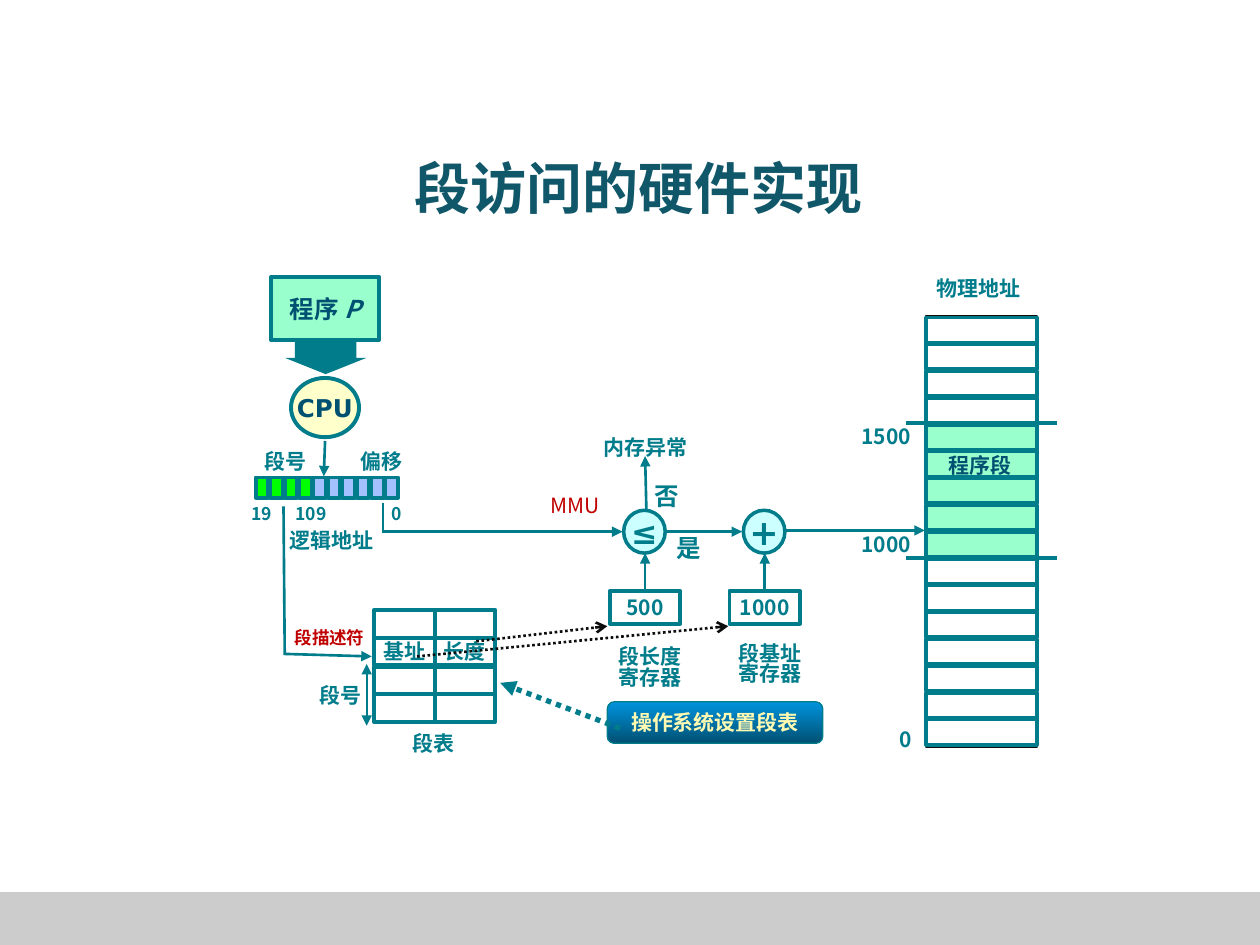
"""Build a slide on how hardware carries out segment access."""
from pptx import Presentation
from pptx.dml.color import RGBColor
from pptx.enum.dml import MSO_LINE
from pptx.enum.shapes import MSO_CONNECTOR, MSO_SHAPE
from pptx.enum.text import MSO_ANCHOR, MSO_AUTO_SIZE, PP_ALIGN
from pptx.oxml.ns import qn
from pptx.util import Inches, Pt
from lxml import etree

RECT, OVAL, DOWN = MSO_SHAPE.RECTANGLE, MSO_SHAPE.OVAL, MSO_SHAPE.DOWN_ARROW
PILL = MSO_SHAPE.FLOWCHART_ALTERNATE_PROCESS
LEFT, MID = PP_ALIGN.LEFT, PP_ALIGN.CENTER
DOTS = MSO_LINE.ROUND_DOT
THEME = {
    "teal": "007C8B", "navy": "005072", "title": "11576A", "red": "C00000",
    "cream": "FFF9B1", "mint": "99FFCC", "aqua": "CCFFFF", "lemon": "FFFFCC",
    "green": "00FF00", "blue": "A2C1FE", "sky": "0093DD", "white": "FFFFFF",
    "black": "0D0D0D", "grey": "CCCCCC",
    "sans": "Noto Sans CJK SC", "math": "DejaVu Sans",
    "head": 32, "plus": 20, "sign": 18, "large": 14, "body": 12, "small": 10,
}


def put(text, at, kind=None, shape=None, fill=None, edge=None, width=2.25,
        size="body", color="teal", font="sans", bold=True, align=MID,
        wrap=False, space=None, slant=""):
    """Place a shape or text box and format its text."""
    box = [Inches(n) for n in at]
    if shape is not None:
        shape.left, shape.top, shape.width, shape.height = box
    elif kind is None:
        shape = slide.shapes.add_textbox(*box)
    else:
        shape = slide.shapes.add_shape(kind, *box)
        shape.shadow.inherit = False
        if fill:
            shape.fill.solid()
            shape.fill.fore_color.rgb = RGBColor.from_string(THEME[fill])
        else:
            shape.fill.background()
        if edge:
            shape.line.color.rgb = RGBColor.from_string(THEME[edge])
            shape.line.width = Pt(width)
        else:
            shape.line.fill.background()
    if not text:
        return shape
    frame = shape.text_frame
    frame.auto_size = MSO_AUTO_SIZE.NONE
    frame.word_wrap = wrap
    frame.vertical_anchor = MSO_ANCHOR.MIDDLE if kind else MSO_ANCHOR.TOP
    for i, row in enumerate(text.split("\n")):
        para = frame.add_paragraph() if i else frame.paragraphs[0]
        para.alignment = align
        if space:
            para.line_spacing = space
        for part in filter(None, (row, slant)):
            run = para.add_run()
            run.text = part
            run.font.size = Pt(THEME[size])
            run.font.bold = bold
            run.font.italic = part == slant
            run.font.color.rgb = RGBColor.from_string(THEME[color])
            run.font.name = THEME[font]
            east = etree.SubElement(run.font._element, qn("a:ea"))
            east.set("typeface", THEME[font])
    return shape


def join(start, end, color="teal", width=1.5, tail=None, head=None, dash=None):
    """Draw a straight line with optional arrowheads."""
    line = slide.shapes.add_connector(
        MSO_CONNECTOR.STRAIGHT, *[Inches(n) for n in (*start, *end)])
    line.line.color.rgb = RGBColor.from_string(THEME[color])
    line.line.width = Pt(width)
    if dash:
        line.line.dash_style = dash
    props = line._element.spPr
    for tag, tip in (("a:headEnd", head), ("a:tailEnd", tail)):
        if tip:
            etree.SubElement(props.find(qn("a:ln")), qn(tag)).set("type", tip)
    etree.SubElement(props, qn("a:effectLst"))


deck = Presentation()
deck.slide_width, deck.slide_height = Inches(10), Inches(7.5)
slide = deck.slides.add_slide(deck.slide_layouts[5])
put("", (0, 7.08, 10, 0.42), RECT, fill="grey")
put("段访问的硬件实现", (3.19, 1.17, 5.71, 0.64), shape=slide.shapes.title,
    size="head", color="title", align=LEFT, wrap=True)

put("", (7.35, 2.51, 0.88, 3.42), RECT, fill="white", edge="black", width=1)
put("", (7.34, 3.37, 0.88, 1.07), RECT, fill="mint")
for i in range(16):
    put("", (7.35, 2.52 + i * 3.19 / 15, 0.88, 0.2), RECT, edge="teal")
for y in (3.36, 4.43):
    join((7.19, y), (8.39, y), width=2.25)
put("程序段", (7.27, 3.54, 1.02, 0.3), color="navy", wrap=True)
for text, at in (
    ("0", (7.04, 5.72, 0.3, 0.3)),
    ("1000", (6.73, 4.17, 0.61, 0.3)),
    ("1500", (6.73, 3.31, 0.61, 0.3)),
    ("物理地址", (7.33, 2.14, 0.87, 0.3)),
    ("段表", (3.17, 5.75, 0.54, 0.3)),
    ("段号", (2.4, 5.37, 0.6, 0.3)),
    ("段号", (1.93, 3.51, 0.68, 0.3)),
    ("偏移", (2.64, 3.51, 0.77, 0.3)),
    ("逻辑地址", (2.2, 4.14, 0.87, 0.3)),
    ("内存异常", (4.49, 3.4, 1.27, 0.3)),
):
    put(text, at)

for x, sign, size, value, name, y in (
    (4.84, "≤", "sign", "500", "段长度\n寄存器", 5.1),
    (5.79, "+", "plus", "1000", "段基址\n寄存器", 5.07),
):
    put(sign, (x + 0.11, 4.05, 0.33, 0.34), OVAL, fill="aqua", edge="teal",
        width=2, size=size, font="math")
    put(value, (x, 4.69, 0.56, 0.26), RECT, fill="white", edge="teal")
    put(name, (x - 0.03, y, 0.7, 0.42), space=0.8)
    join((x + 0.28, 4.68), (x + 0.28, 4.39), tail="triangle")
for text, at in (("是", (5.27, 4.18, 0.4, 0.33)),
                 ("否", (5.1, 3.77, 0.4, 0.33))):
    put(text, at, size="large", align=LEFT)
put("MMU", (4.27, 3.86, 0.7, 0.3), color="red", bold=False, align=LEFT,
    wrap=True)

put("", (2.97, 4.83, 0.96, 0.9), RECT, fill="white")
for i, row in enumerate((("", ""), ("基址", "长度"), ("", ""), ("", ""))):
    for j, text in enumerate(row):
        put(text, (2.97 + j * 0.48, 4.84 + i * 0.22 + i // 2 * 0.01, 0.48, 0.22),
            RECT, edge="teal")
put("段描述符", (2.24, 4.93, 0.83, 0.27), size="small", color="red",
    align=LEFT, wrap=True)

pill = put("操作系统设置段表", (4.82, 5.57, 1.71, 0.33), PILL, fill="sky",
           edge="teal", width=0.75, color="cream")
pill.fill.gradient()
pill.fill.gradient_angle = 270
for stop, name in zip(pill.fill.gradient_stops, ("sky", "navy")):
    stop.color.rgb = RGBColor.from_string(THEME[name])

arrow = put("", (2.26, 2.71, 0.65, 0.26), DOWN, fill="teal")
arrow.adjustments[0], arrow.adjustments[1] = 0.75, 0.5
put("程序 ", (2.15, 2.2, 0.86, 0.5), RECT, fill="mint", edge="teal", width=2,
    size="large", color="navy", slant="P")
put("CPU", (2.31, 3, 0.54, 0.47), OVAL, fill="lemon", edge="teal",
    size="large", color="navy", font="math")
for i in range(10):
    put("", (2.03 + i * 1.03 / 9, 3.79, 0.1, 0.16), RECT,
        fill="green" if i < 4 else "blue", edge="teal")
for text, x, wide in (("19", 1.89, 0.37), ("10", 2.24, 0.37),
                      ("9", 2.41, 0.29), ("0", 3, 0.29)):
    put(text, (x, 3.94, wide, 0.27), size="small")

join((2.25, 4.02), (2.26, 5.2))
join((3.04, 3.99), (3.04, 4.22))
for start, end in (
    ((2.58, 3.5), (2.57, 3.78)),
    ((2.26, 5.19), (2.95, 5.21)),
    ((3.03, 4.22), (4.94, 4.22)),
    ((5.29, 4.22), (5.89, 4.22)),
    ((6.24, 4.21), (7.34, 4.21)),
    ((5.13, 4.04), (5.12, 3.62)),
):
    join(start, end, tail="triangle")
join((2.91, 5.76), (2.91, 5.27), width=1, tail="triangle", head="triangle")
join((4.92, 5.78), (3.97, 5.42), width=3, tail="triangle", dash=DOTS)
for start, end in (((3.31, 5.21), (5.78, 4.97)), ((3.78, 5.09), (4.82, 4.97))):
    join(start, end, color="black", tail="arrow", dash=DOTS)

deck.save("out.pptx")
